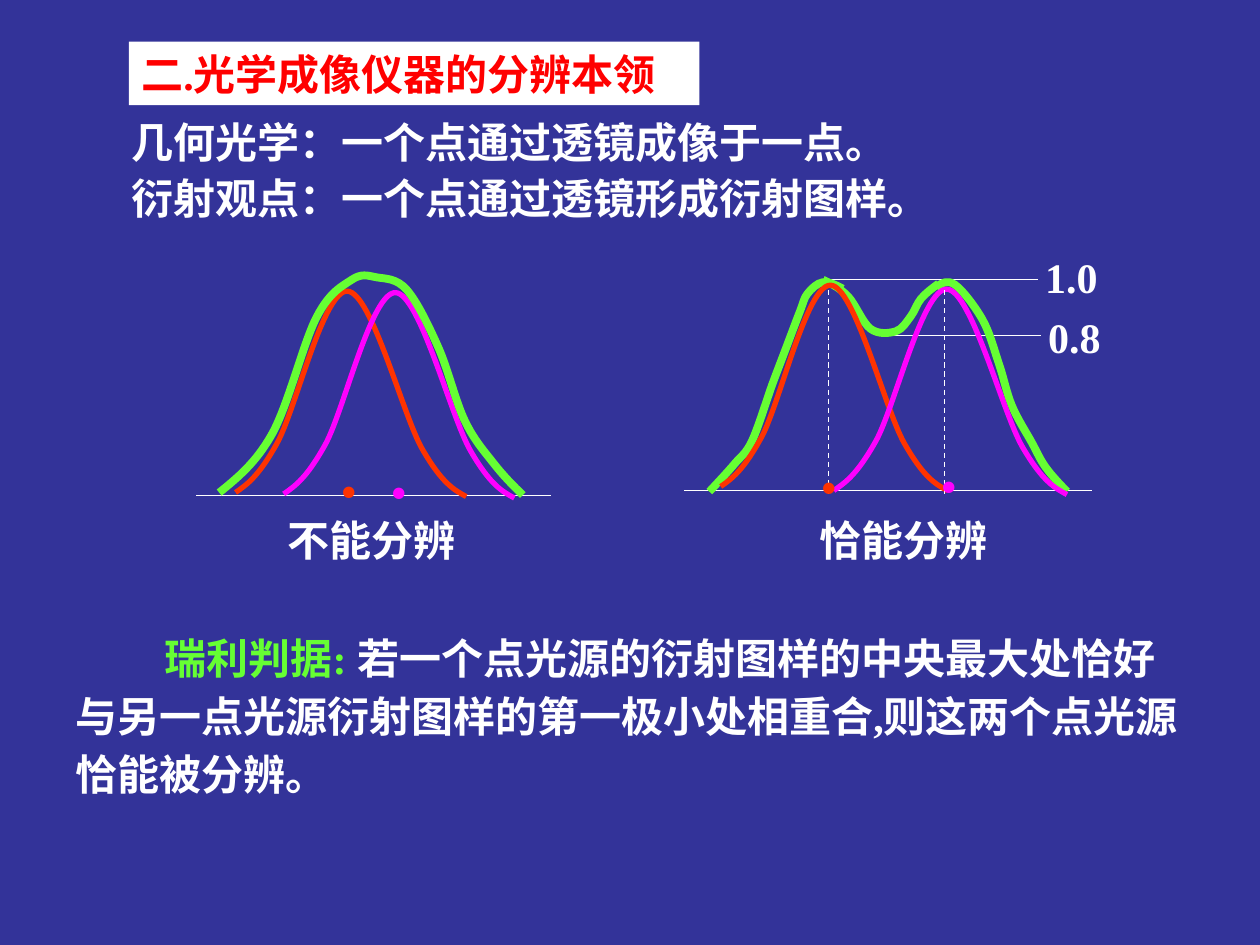
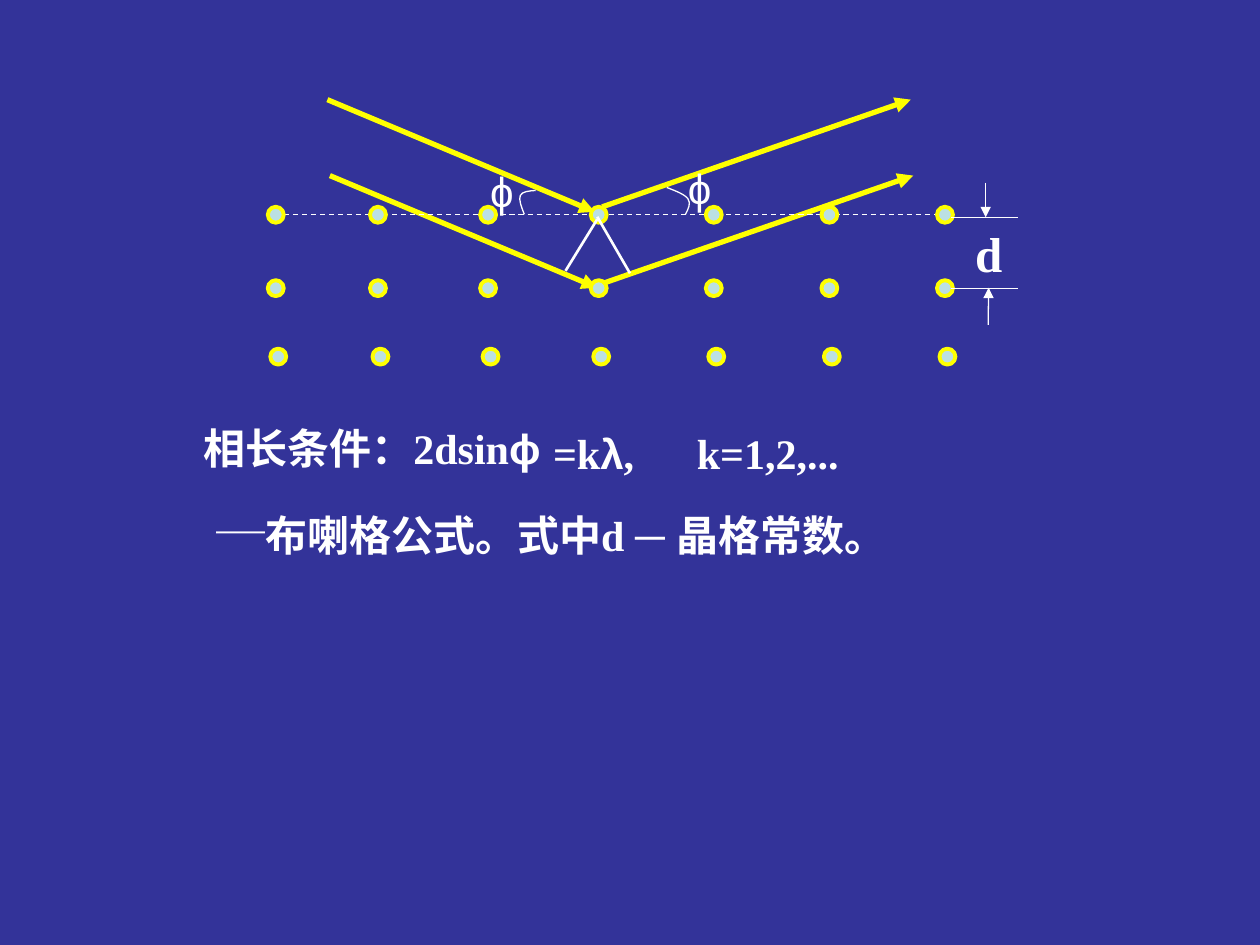
from collections import namedtuple

from lxml.etree import SubElement
from pptx import Presentation
from pptx.dml.color import RGBColor
from pptx.enum.dml import MSO_LINE
from pptx.enum.shapes import MSO_CONNECTOR as CONN, MSO_SHAPE as SHAPE
from pptx.enum.text import MSO_ANCHOR as ANCHOR, PP_ALIGN as ALIGN
from pptx.oxml.ns import qn
from pptx.util import Cm, Pt

COLORS = {
    "ground": "333399", "white": "FFFFFF", "title": "FF0000", "green": "66FF33",
    "red": "FF3300", "magenta": "FF00FF", "yellow": "FFFF00", "atom": "BBE0E3",
}
BODY = {"name": "Times New Roman", "size": 24, "bold": True, "color": "white"}
ARIAL = {"name": "Arial"}
DOT_SIZE = 40

# Bell curve knots as shares of its width and height
BELL = [(0, .98), (.18, .74), (.485, 0), (.81, .77), (1, 1)]
BELL_HEIGHT = 4.14

Box = namedtuple("Box", "x y w h")


def inside(box, x, y, w, h):
    return Box(box.x + x, box.y + y, w, h)


def rgb(name):
    return RGBColor.from_string(COLORS[name])


# ---- Text ----
def style_run(r, fmt):
    values = {**BODY, **fmt}
    r.font.color.rgb = rgb(values.pop("color"))
    values["size"] = Pt(values["size"])
    for key, value in values.items():
        setattr(r.font, key, value)


def write(sp, paragraphs, spacing=None, indent=None, tab=None, wrap=True, top=.13):
    """Each paragraph is a list of (text, format) runs."""
    tf = sp.text_frame
    tf.word_wrap = wrap
    tf.vertical_anchor = ANCHOR.TOP
    tf.margin_top = Cm(top)
    for i, runs in enumerate(paragraphs):
        p = tf.add_paragraph() if i else tf.paragraphs[0]
        p.alignment = ALIGN.LEFT
        if spacing:
            p.line_spacing = spacing
        pPr = p._p.get_or_add_pPr()
        if indent:
            pPr.set("indent", str(Cm(indent)))
        if tab:
            stops = SubElement(pPr, qn("a:tabLst"))
            SubElement(stops, qn("a:tab"), pos=str(Cm(tab)), algn="l")
        for text, fmt in runs:
            r = p.add_run()
            r.text = text
            style_run(r, fmt)


def add_text(s, box, paragraphs, **layout):
    write(s.shapes.add_textbox(*map(Cm, box)), paragraphs, **layout)


# ---- Lines and curves ----
def add_line(s, box, start, end, color="white", width=.75, dash=False, arrow=False):
    points = [Cm(o + v) for pt in (start, end) for o, v in zip(box[:2], pt)]
    c = s.shapes.add_connector(CONN.STRAIGHT, *points)
    c.line.color.rgb = rgb(color)
    c.line.width = Pt(width)
    if dash:
        c.line.dash_style = MSO_LINE.DASH
    if arrow:
        SubElement(c.line._get_or_add_ln(), qn("a:tailEnd"), type="triangle")
    SubElement(c._element.spPr, qn("a:effectLst"))


def bezier_points(knots):
    """Two control points and an end for each stretch of a smooth curve."""
    def control(i, sign):
        (x0, y0), (x1, y1), (x2, y2) = knots[i - 1:i + 2]
        return x1 + sign * (x2 - x0) / 6, y1 + sign * (y2 - y0) / 6

    def middle(a, b):
        return (a[0] + b[0]) / 2, (a[1] + b[1]) / 2

    last = len(knots) - 1
    points = [knots[0]]
    for i in range(last):
        a, d = knots[i], knots[i + 1]
        b = control(i, 1) if i else None
        c = control(i + 1, -1) if i + 1 < last else middle(b, d)
        points += [b or middle(a, c), c, d]
    return points


def add_curve(s, box, knots, color="white", width=.75):
    points = [(Cm(box.x + x), Cm(box.y + y)) for x, y in bezier_points(knots)]
    fb = s.shapes.build_freeform(*points[0])
    fb.add_line_segments(points[1:], close=False)
    sp = fb.convert_to_shape()
    # Turn each three line ends into one Bezier stretch
    outline = next(sp._element.iter(qn("a:path")))
    ends = outline.findall(qn("a:lnTo"))
    for i in range(0, len(ends), 3):
        stretch = SubElement(outline, qn("a:cubicBezTo"))
        for end in ends[i:i + 3]:
            stretch.append(end[0])
            outline.remove(end)
    sp.shadow.inherit = False
    sp.fill.background()
    sp.line.color.rgb = rgb(color)
    sp.line.width = Pt(width)


def bell(x, y, width):
    return [(x + u * width, y + v * BELL_HEIGHT) for u, v in BELL]


# ---- Resolution slide ----
def add_heading(s, box):
    sp = s.shapes.add_shape(SHAPE.RECTANGLE, *map(Cm, box))
    sp.shadow.inherit = False
    sp.fill.solid()
    sp.fill.fore_color.rgb = rgb("white")
    sp.line.fill.background()
    write(sp, [[("二.光学成像仪器的分辨本领", {"color": "title"})]])


def add_axis_and_curves(s, box, axis_y, curves):
    add_line(s, box, (0, axis_y), (box.w, axis_y))
    for color, width, knots in curves:
        add_curve(s, box, knots, color, width)


def add_sources(s, box, sources):
    for color, x, y in sources:
        add_text(s, inside(box, x, y, .89, 1.96), [[(".", {"size": DOT_SIZE, "color": color})]])


def add_caption(s, box, x, caption):
    add_text(s, inside(box, x, 4.74, 4.3, 1.27), [[(caption, {})]])


def add_unresolved(s, box):
    total = [(.46, 4.43), (1.53, 3.24), (2.42, .9), (3.13, .14), (3.63, .09),
             (4.24, .34), (4.88, 1.51), (5.41, 2.98), (6, 3.85), (6.58, 4.48)]
    add_axis_and_curves(s, box, 4.49, [
        ("red", 3, bell(.79, .37, 4.65)),
        ("magenta", 3, bell(1.76, .4, 4.65)),
        ("green", 4.5, total),
    ])
    add_sources(s, box, [("red", 2.65, 2.99), ("magenta", 3.67, 3.01)])
    add_caption(s, box, 1.58, "不能分辨")


def add_just_resolved(s, box):
    valley = [(2.8, .14), (3.3, .47), (3.76, 1.13), (4.27, 1.18), (4.57, .88),
              (4.78, .52), (5.13, .22)]
    rise = [(.51, 4.41), (1.02, 3.85), (1.37, 3.39), (1.78, 2.25), (2.03, 1.59),
            (2.34, .77), (2.49, .42), (2.8, .19), (3.2, .32)]
    fall = [(5.08, .29), (5.46, .24), (6.02, .95), (6.35, 1.84), (6.61, 2.68),
            (7.01, 3.42), (7.29, 3.92), (7.72, 4.41)]
    # Intensity levels
    for label, start, end, y, label_x, label_y in (
            ("1.0", 2.87, 7.14, .14, 7.03, -.56),
            ("0.8", 4.14, 7.19, 1.26, 7.09, .64)):
        add_line(s, box, (start, y), (end, y))
        add_text(s, inside(box, label_x, label_y, 1.8, 1.27), [[(label, {})]])
    add_axis_and_curves(s, box, 4.39, [
        *(("green", 4.5, knots) for knots in (valley, rise, fall)),
        ("red", 3, bell(.74, .25, 4.57)),
        ("magenta", 3, bell(3.02, .33, 4.7)),
    ])
    # Central maxima
    for x in (2.91, 5.25):
        add_line(s, box, (x, .35), (x, 4.52), dash=True)
    add_sources(s, box, [("magenta", 4.93, 2.89), ("red", 2.51, 2.91)])
    add_caption(s, box, 2.49, "恰能分辨")


def build_resolution(s):
    add_heading(s, Box(2.6, .84, 11.5, 1.28))
    add_text(s, Box(2.41, 2.12, 20.52, 2.49), [
        [("几何光学：一个点通过透镜成像于一点。", {})],
        [("衍射观点：一个点通过透镜形成衍射图样。", {})],
    ], spacing=1.1)
    add_unresolved(s, Box(3.96, 5.5, 7.14, 6))
    add_just_resolved(s, Box(13.79, 5.5, 8.23, 6))
    add_text(s, Box(1.27, 12.29, 23.01, 3.96), [[
        ("瑞利判据: ", {"color": "green"}),
        ("若一个点光源的衍射图样的中央最大处恰好与另一点光源衍射图样的第一极小处相重合,"
         "则这两个点光源恰能被分辨。", {}),
    ]], spacing=1.15, indent=1.8, top=.31)


# ---- Bragg slide ----
def add_rays(s, box):
    for dx, dy in ((0, 0), (.05, 1.53)):
        for start, end in (((1.2, .01), (6.59, 2.27)), ((6.74, 2.17), (12.96, .01))):
            add_line(s, box, (start[0] + dx, start[1] + dy), (end[0] + dx, end[1] + dy),
                     "yellow", 3, arrow=True)
    # Glancing angles
    for knots in ([(8.04, 1.78), (8.47, 2.01), (8.42, 2.32)],
                  [(5.4, 1.84), (5.09, 1.94), (5.17, 2.32)]):
        add_curve(s, box, knots)
    for x, y in ((4.23, 1.2), (8.22, 1.15)):
        add_text(s, inside(box, x, y, 1.3, 1.27), [[("ϕ", {**ARIAL, "bold": False})]])


def add_lattice(s, box):
    columns = (.16, 2.22, 4.44, 6.67, 8.99, 11.32, 13.65)
    rows = ((2.33, 0), (3.81, 0), (5.19, .05))
    size = .32
    add_line(s, box, (.32, 2.32), (13.6, 2.32), dash=True)
    for y, shift in rows:
        for x in columns:
            atom = inside(box, x + shift - size / 2, y - size / 2, size, size)
            sp = s.shapes.add_shape(SHAPE.OVAL, *map(Cm, atom))
            sp.shadow.inherit = False
            sp.fill.solid()
            sp.fill.fore_color.rgb = rgb("atom")
            sp.line.color.rgb = rgb("yellow")
            sp.line.width = Pt(2.25)


def add_spacing_mark(s, box):
    for y in (2.38, 3.82):
        add_line(s, box, (13.78, y), (15.12, y))
    add_text(s, inside(box, 14.01, 2.38, 1.04, 1.45), [[("d", {"size": 28})]], wrap=False)
    add_line(s, box, (14.47, 1.68), (14.47, 2.38), arrow=True)
    add_line(s, box, (14.52, 4.55), (14.53, 3.8), arrow=True)


def add_path_difference(s, box):
    add_line(s, box, (6.64, 2.42), (6, 3.46), width=1.5)
    add_line(s, box, (6.64, 2.37), (7.3, 3.51), width=1.5)


def build_bragg(s):
    diagram = Box(5.4, 2, 15.2, 5.4)
    for add_part in (add_rays, add_lattice, add_spacing_mark, add_path_difference):
        add_part(s, diagram)
    # Formula
    add_text(s, Box(3.85, 8.38, 9.45, 1.27), [[("相长条件：2dsin", {}), ("ϕ", ARIAL)]])
    add_text(s, Box(10.9, 8.48, 8.81, 1.27),
             [[("=k", {}), ("λ", ARIAL), (",\tk=1,2,...", {})]], tab=2.9)
    add_text(s, Box(4.11, 10.01, 17.83, 1.45), [[
        ("─", {**ARIAL, "size": 28}), ("布喇格公式。式中d ", {}),
        ("─ ", ARIAL), ("晶格常数。", {}),
    ]])


def main():
    prs = Presentation()
    prs.slide_width, prs.slide_height = Cm(25.4), Cm(19.05)
    for build in (build_resolution, build_bragg):
        s = prs.slides.add_slide(prs.slide_layouts[6])
        s.background.fill.solid()
        s.background.fill.fore_color.rgb = rgb("ground")
        build(s)
    prs.save("out.pptx")


if __name__ == "__main__":
    main()
